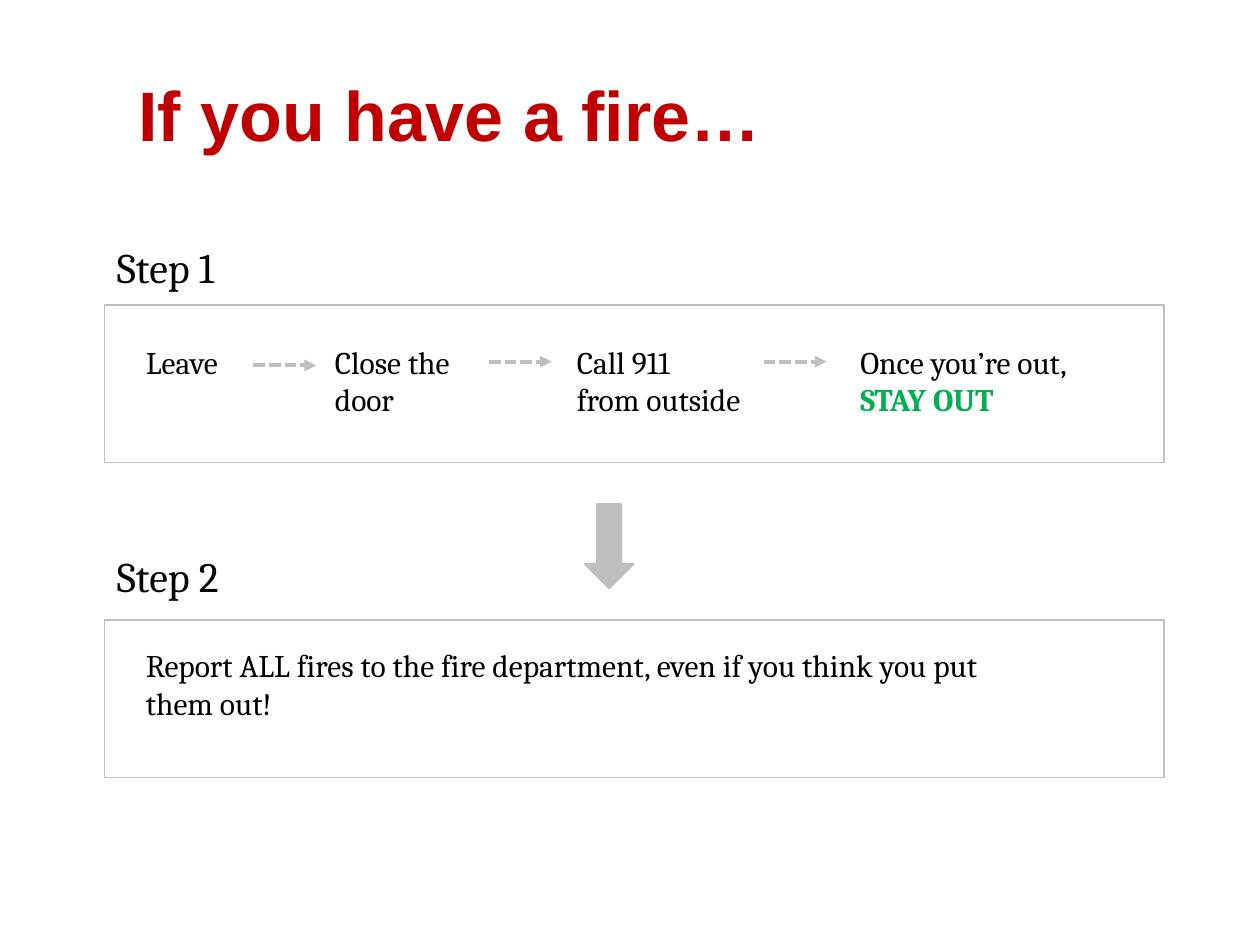
from lxml import etree
from pptx import Presentation
from pptx.dml.color import RGBColor
from pptx.enum import dml, shapes, text
from pptx.oxml import ns
from pptx.util import Inches, Pt

RED = RGBColor(0xC0, 0x00, 0x00)
GREEN = RGBColor(0x00, 0xB0, 0x50)
GRAY = RGBColor(0xBF, 0xBF, 0xBF)
BLACK = RGBColor(0x00, 0x00, 0x00)

BOX_WIDTH, BOX_HEIGHT = 8.41, 1.25
ACTIONS = [
    (0.23, 1.42, ["Leave"], BLACK),
    (1.73, 1.5, ["Close the door"], BLACK),
    (3.65, 1.83, ["Call 911", "from outside"], BLACK),
    (5.9, 2.33, ["Once you’re out,", "STAY OUT"], GREEN),
]
ARROWS = [(1.18, 0.48), (3.05, 0.45), (5.23, 0.45)]


def write(frame, lines, size=18, font="Cambria", color=BLACK, bold=False,
          last_color=None, space_before=None):
    frame.word_wrap = True
    paragraph = frame.paragraphs[0]
    paragraph.alignment = text.PP_ALIGN.LEFT
    if space_before is not None:
        paragraph.space_before = Pt(space_before)
    for index, line in enumerate(lines):
        if index:
            paragraph.add_line_break()
        run = paragraph.add_run()
        run.text = line
        highlighted = index == len(lines) - 1 and last_color not in (None, color)
        run.font.name = font
        run.font.size = Pt(size)
        run.font.bold = bold or highlighted
        run.font.color.rgb = last_color if highlighted else color


def add_words(slide, left, top, width, height, lines, **style):
    words = slide.shapes.add_textbox(
        Inches(left), Inches(top), Inches(width), Inches(height))
    write(words.text_frame, lines, **style)


def add_preset(slide, preset, left, top, width, height, fill=None):
    shape = slide.shapes.add_shape(
        preset, Inches(left), Inches(top), Inches(width), Inches(height))
    shape.shadow.inherit = False
    if fill is None:
        shape.fill.background()
    else:
        shape.fill.solid()
        shape.fill.fore_color.rgb = fill
    shape.line.color.rgb = GRAY
    shape.line.width = Pt(1)


def add_dashed_arrow(slide, left, top, length=0.5):
    arrow = slide.shapes.add_connector(
        shapes.MSO_CONNECTOR.STRAIGHT,
        Inches(left), Inches(top), Inches(left + length), Inches(top))
    arrow.line.color.rgb = GRAY
    arrow.line.width = Pt(2.25)
    arrow.line.dash_style = dml.MSO_LINE.SQUARE_DOT
    properties = arrow.element.spPr
    line = properties.find(ns.qn("a:ln"))
    etree.SubElement(line, ns.qn("a:tailEnd"), type="triangle")
    etree.SubElement(properties, ns.qn("a:effectLst"))


def add_title(slide, left, top, width, height):
    title = slide.shapes.title
    title.left, title.top = Inches(left), Inches(top)
    title.width, title.height = Inches(width), Inches(height)
    frame = title.text_frame
    frame.auto_size = text.MSO_AUTO_SIZE.NONE
    frame.vertical_anchor = text.MSO_ANCHOR.MIDDLE
    frame.margin_bottom = Inches(0.1)
    write(frame, ["If you have a fire…"], size=40, font="Arial", color=RED, bold=True)


def add_step(slide, left, top, label, label_rise):
    add_preset(slide, shapes.MSO_SHAPE.RECTANGLE, left, top, BOX_WIDTH, BOX_HEIGHT)
    add_words(slide, left, top - label_rise, 1.89, 0.5, [label], size=24)


def add_escape_step(slide, left, top):
    add_step(slide, left, top, "Step 1", 0.55)
    for offset, width, lines, last_color in ACTIONS:
        add_words(slide, left + offset, top + 0.25, width, 0.4 if len(lines[0]) < 6 else 0.71,
                  lines, last_color=last_color)
    for offset, drop in ARROWS:
        add_dashed_arrow(slide, left + offset, top + drop)


def add_report_step(slide, left, top):
    add_step(slide, left, top, "Step 2", 0.6)
    add_words(slide, left + 0.23, top + 0.16, 7.17, 0.71,
              ["Report ALL fires to the fire department, even if you think you put them out!"],
              space_before=0)


def main():
    deck = Presentation()
    deck.slide_width, deck.slide_height = Inches(10), Inches(7.5)
    slide = deck.slides.add_slide(deck.slide_layouts[5])
    add_title(slide, 1, 0.3, 8.5, 1.25)
    add_escape_step(slide, 0.83, 2.42)
    add_preset(slide, shapes.MSO_SHAPE.DOWN_ARROW, 4.64, 4, 0.39, 0.67, fill=GRAY)
    add_report_step(slide, 0.83, 4.92)
    deck.save("out.pptx")


if __name__ == "__main__":
    main()
